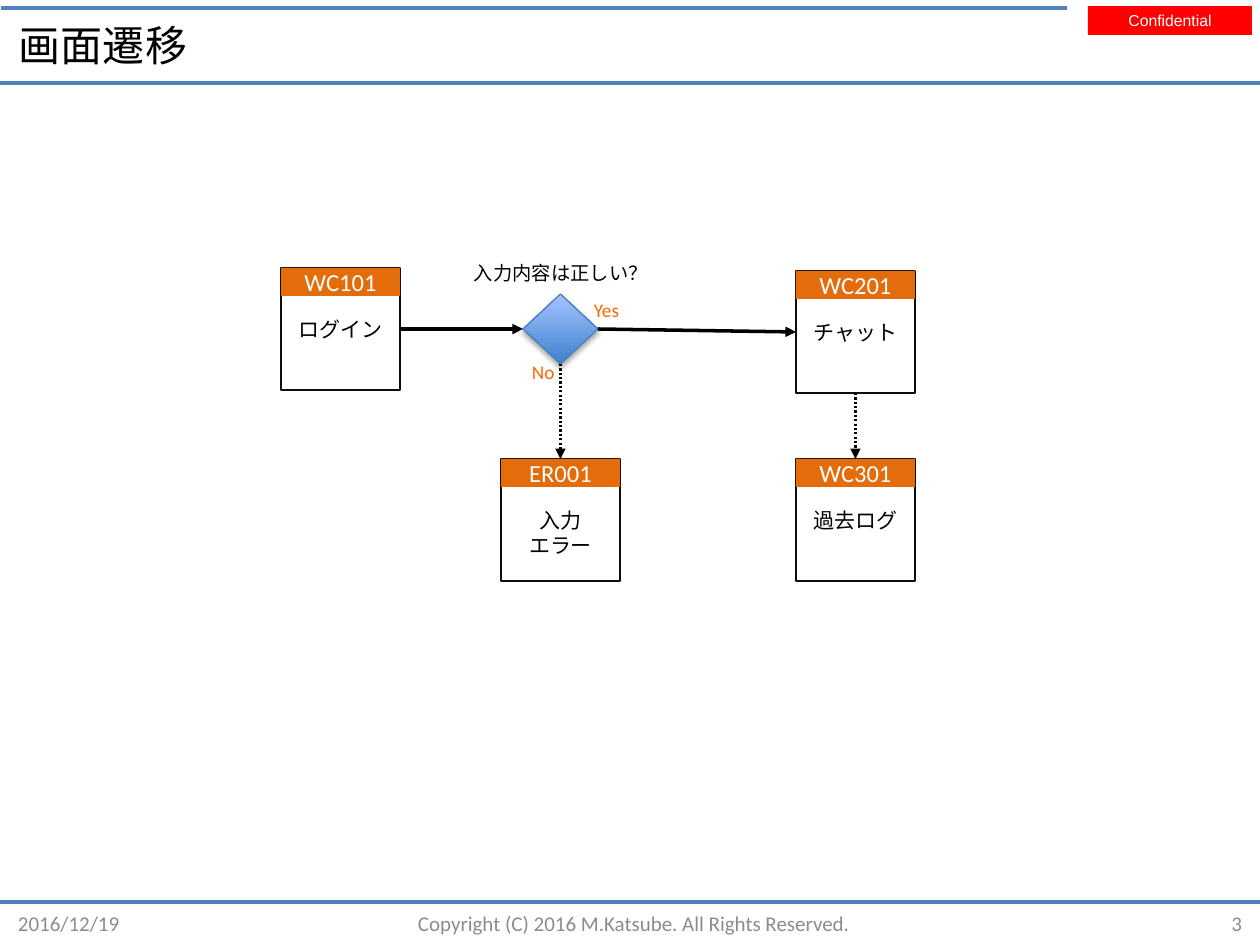
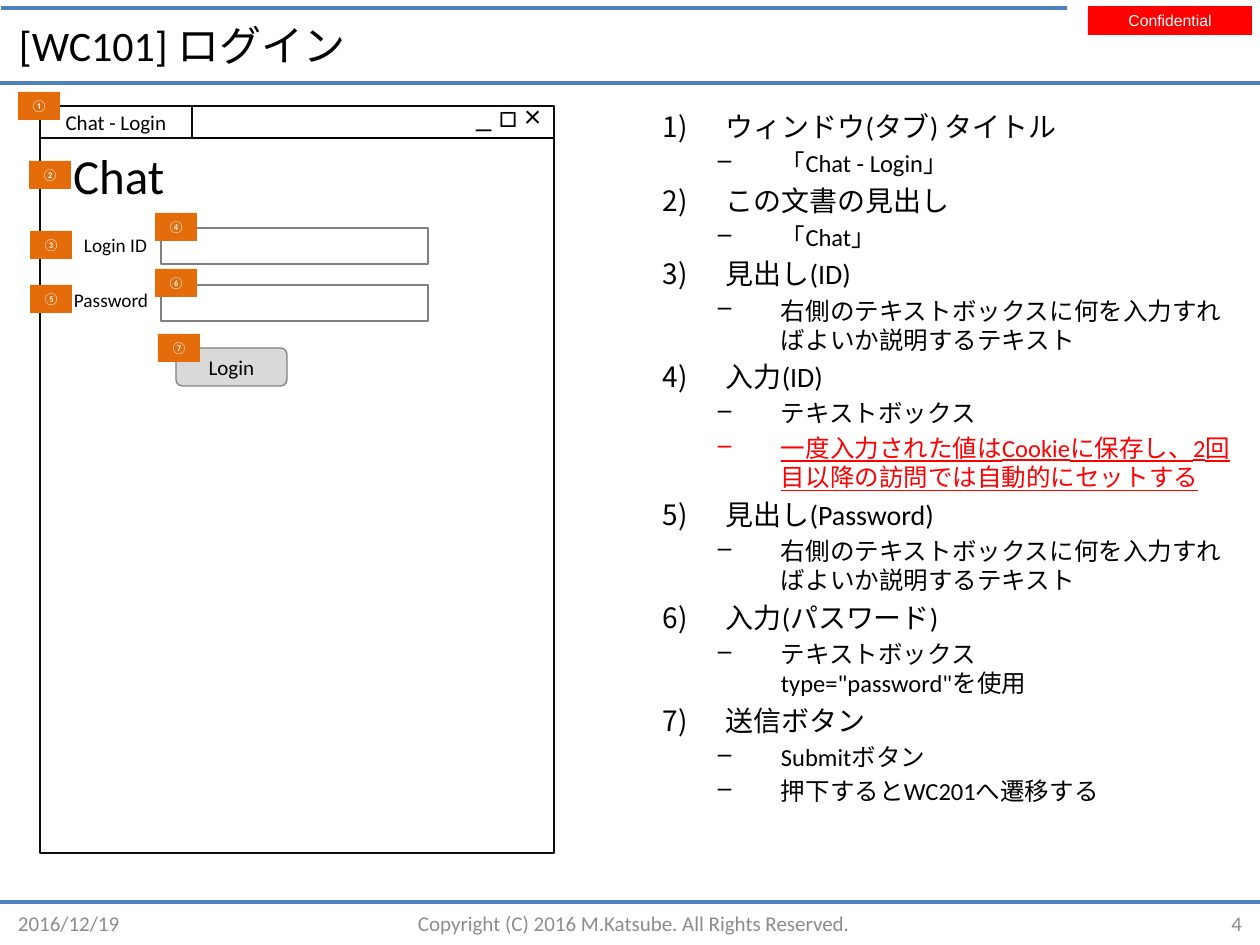
from dataclasses import dataclass
from typing import NamedTuple, Optional

from lxml.etree import SubElement
from pptx import Presentation
from pptx.dml.color import RGBColor
from pptx.enum.dml import MSO_LINE
from pptx.enum.shapes import MSO_CONNECTOR, MSO_SHAPE
from pptx.enum.text import MSO_ANCHOR, PP_ALIGN
from pptx.oxml.ns import qn
from pptx.util import Emu, Pt

PX_PER_INCH = 126
SLIDE_W, SLIDE_H = 1260, 945
TOP, LEFT, BOTTOM, RIGHT = range(4)  # connection sites of a rectangle or diamond


@dataclass(frozen=True)
class Theme:
    font: str = "Calibri"
    badge_font: str = "Arial"
    black: RGBColor = RGBColor(0x00, 0x00, 0x00)
    white: RGBColor = RGBColor(0xFF, 0xFF, 0xFF)
    red: RGBColor = RGBColor(0xFF, 0x00, 0x00)
    rule: RGBColor = RGBColor(0x4F, 0x81, 0xBD)
    footer: RGBColor = RGBColor(0x8C, 0x8C, 0x8C)
    outline: RGBColor = RGBColor(0x0D, 0x0D, 0x0D)
    accent: RGBColor = RGBColor(0xE4, 0x6C, 0x0A)
    branch: RGBColor = RGBColor(0xFF, 0x66, 0x00)
    field: RGBColor = RGBColor(0x80, 0x80, 0x80)
    button: RGBColor = RGBColor(0xD9, 0xD9, 0xD9)
    diamond_dark: RGBColor = RGBColor(0x3F, 0x80, 0xCE)
    diamond_light: RGBColor = RGBColor(0xA4, 0xC4, 0xFF)
    diamond_line: RGBColor = RGBColor(0x4B, 0x7E, 0xBC)
    heading: int = 28
    title: int = 24
    window: int = 18
    item: int = 16
    detail: int = 14
    normal: int = 12
    label: int = 11
    badge: int = 9
    marker: int = 7
    thin: float = 0.75


T = Theme()


class Rect(NamedTuple):
    x: int
    y: int
    w: int
    h: int


class Style(NamedTuple):
    size: int
    color: RGBColor = T.black
    align: PP_ALIGN = PP_ALIGN.LEFT
    anchor: MSO_ANCHOR = MSO_ANCHOR.TOP
    wrap: bool = True
    font: str = T.font
    inset_x: int = 13
    inset_top: int = 6
    inset_bottom: int = 6


class Screen(NamedTuple):
    code: str
    name: str
    x: int
    y: int
    inset_top: int = 6


class Label(NamedTuple):
    text: str
    rect: Rect
    style: Style


class Note(NamedTuple):
    text: str
    level: int = 1
    alert: bool = False


MIDDLE = MSO_ANCHOR.MIDDLE
CENTER = PP_ALIGN.CENTER
CENTERED = Style(T.normal, align=CENTER, anchor=MIDDLE)
CODE = Style(T.detail, T.white, CENTER, MIDDLE, inset_x=0, inset_top=0, inset_bottom=0)
TITLE = Style(T.title, anchor=MIDDLE)
FOOTER = Style(T.normal, T.footer, anchor=MIDDLE)
BADGE = Style(T.badge, T.white, CENTER, font=T.badge_font,
              inset_x=5, inset_top=5, inset_bottom=5)
CAPTION = Style(T.label, wrap=False)
BRANCH = CAPTION._replace(color=T.branch)
MARKER = Style(T.marker, T.white, wrap=False)

CARD_W, CARD_H, CODE_H = 119, 122, 28
LOGIN = Screen("WC101", "ログイン", 281, 268)
CHAT = Screen("WC201", "チャット", 796, 271)
PAST_LOG = Screen("WC301", "過去ログ", 796, 459)
INPUT_ERROR = Screen("ER001", "入力\nエラー", 501, 459, inset_top=31)

FLOW_LABELS = [
    Label("入力内容は正しい？", Rect(461, 255, 195, 36), CAPTION),
    Label("No", Rect(519, 354, 48, 36), BRANCH),
    Label("Yes", Rect(581, 292, 52, 36), BRANCH),
]
WINDOW_LABELS = [
    Label("_ □ ×", Rect(463, 89, 91, 51), Style(T.window, anchor=MIDDLE, wrap=False)),
    Label("Chat", Rect(60, 139, 118, 72), Style(T.heading, wrap=False)),
    Label("Login ID", Rect(71, 227, 89, 36), CAPTION),
    Label("Password", Rect(61, 282, 101, 36), CAPTION),
]
MARKERS = {"①": (18, 92), "②": (29, 161), "③": (30, 231), "④": (155, 213),
           "⑤": (30, 285), "⑥": (155, 269), "⑦": (158, 334)}

FIELD_HELP = "右側のテキストボックスに何を入力すればよいか説明するテキスト"
NOTES = [
    Note("ウィンドウ(タブ) タイトル", 0),
    Note("「Chat - Login」"),
    Note("この文書の見出し", 0),
    Note("「Chat」"),
    Note("見出し(ID)", 0),
    Note(FIELD_HELP),
    Note("入力(ID)", 0),
    Note("テキストボックス"),
    Note("一度入力された値はCookieに保存し、2回目以降の訪問では自動的にセットする", alert=True),
    Note("見出し(Password)", 0),
    Note(FIELD_HELP),
    Note("入力(パスワード)", 0),
    Note('テキストボックス\vtype="password"を使用'),
    Note("送信ボタン", 0),
    Note("Submitボタン"),
    Note("押下するとWC201へ遷移する"),
]


def px(n: float) -> Emu:
    return Emu(round(n * 914400 / PX_PER_INCH))


def set_font(p, size: int, color: RGBColor, name: str = T.font) -> None:
    p.font.size = Pt(size)
    p.font.name = name
    p.font.color.rgb = color


def write(sp, text: str, style: Style) -> None:
    """Fill a shape with text; one-line text needs no right inset."""
    tf = sp.text_frame
    tf.margin_left = px(style.inset_x)
    tf.margin_right = px(style.inset_x if style.wrap else 0)
    tf.margin_top, tf.margin_bottom = px(style.inset_top), px(style.inset_bottom)
    tf.word_wrap = style.wrap
    tf.vertical_anchor = style.anchor
    tf.text = text
    for p in tf.paragraphs:
        p.alignment = style.align
        set_font(p, style.size, style.color, style.font)


def add_text(s, rect: Rect, text: str, style: Style):
    sp = s.shapes.add_textbox(*map(px, rect))
    write(sp, text, style)
    return sp


def add_box(s, rect: Rect, fill: Optional[RGBColor] = T.white,
            line: Optional[RGBColor] = None, text: str = "",
            style: Style = CENTERED, kind: MSO_SHAPE = MSO_SHAPE.RECTANGLE):
    """Add a flat shape; without a fill colour, the caller sets the fill."""
    sp = s.shapes.add_shape(kind, *map(px, rect))
    sp.shadow.inherit = False
    if fill is not None:
        sp.fill.solid()
        sp.fill.fore_color.rgb = fill
    if line is None:
        sp.line.fill.background()
    else:
        sp.line.color.rgb = line
        sp.line.width = Pt(T.thin)
    if text:
        write(sp, text, style)
    return sp


def add_line(s, x1: int, y1: int, x2: int, y2: int, color: RGBColor, width: float):
    c = s.shapes.add_connector(MSO_CONNECTOR.STRAIGHT, px(x1), px(y1), px(x2), px(y2))
    c.line.color.rgb = color
    c.line.width = Pt(width)
    SubElement(c.element.spPr, qn("a:effectLst"))
    return c


def add_arrow(s, start, start_site: int, end, end_site: int, dotted: bool = False) -> None:
    c = add_line(s, 0, 0, 0, 0, T.black, 1.25 if dotted else 2)
    c.begin_connect(start, start_site)
    c.end_connect(end, end_site)
    if dotted:
        c.line.dash_style = MSO_LINE.ROUND_DOT
    SubElement(c.element.spPr.find(qn("a:ln")), qn("a:tailEnd"), type="triangle")


def add_screen(s, screen: Screen):
    card = add_box(s, Rect(screen.x, screen.y, CARD_W, CARD_H), T.white, T.outline,
                   screen.name, CENTERED._replace(inset_top=screen.inset_top))
    add_box(s, Rect(screen.x, screen.y, CARD_W, CODE_H), T.accent, None, screen.code, CODE)
    return card


def add_decision(s, rect: Rect):
    sp = add_box(s, rect, None, T.diamond_line, kind=MSO_SHAPE.DIAMOND)
    sp.fill.gradient()
    sp.fill.gradient_angle = 90
    for stop, color in zip(sp.fill.gradient_stops, (T.diamond_dark, T.diamond_light)):
        stop.color.rgb = color
    shadow = SubElement(sp.element.spPr.find(qn("a:effectLst")), qn("a:outerShdw"),
                        blurRad=str(Pt(3.1)), dist=str(Pt(1.8)), dir="5400000",
                        rotWithShape="0")
    color = SubElement(shadow, qn("a:srgbClr"), val=str(T.black))
    SubElement(color, qn("a:alpha"), val="35000")
    return sp


def add_notes_list(s, rect: Rect) -> None:
    """Add the numbered parts of the screen with their dashed details."""
    tf = add_text(s, rect, "\n".join(n.text for n in NOTES), Style(T.item)).text_frame
    for p, note in zip(tf.paragraphs, NOTES):
        p.level = note.level
        pPr = p._p.get_or_add_pPr()
        pPr.set("marL", str(px(118 if note.level else 63)))
        pPr.set("indent", str(px(-63)))
        if note.level:
            bullet = pPr.makeelement(qn("a:buChar"), {"char": "–"})
        else:
            bullet = pPr.makeelement(qn("a:buAutoNum"), {"type": "arabicParenR"})
        pPr.find(qn("a:defRPr")).addprevious(bullet)
        size = T.detail if note.level else T.item
        p.space_before = Pt(size * 0.2)
        set_font(p, size, T.red if note.alert else T.black)
        if note.alert:
            p.font.underline = True


def add_slide(prs, title: str, number: int):
    """Add a blank slide with the shared rules, badge, title and footer."""
    s = prs.slides.add_slide(prs.slide_layouts[6])
    for x1, x2, y in ((0, SLIDE_W, 83), (0, SLIDE_W, 902), (1, 1067, 8)):
        add_line(s, x1, y, x2, y, T.rule, 2)
    add_box(s, Rect(1088, 6, 164, 29), T.red, None, "Confidential", BADGE)
    add_text(s, Rect(6, 15, 1027, 59), title, TITLE)
    for text, x, w, align in (
        ("2016/12/19", 5, 178, PP_ALIGN.LEFT),
        ("Copyright (C) 2016 M.Katsube. All Rights Reserved.", 217, 834, CENTER),
        (str(number), 1088, 167, PP_ALIGN.RIGHT),
    ):
        add_text(s, Rect(x, 911, w, 25), text, FOOTER._replace(align=align))
    return s


def add_labels(s, labels: list[Label]) -> None:
    for label in labels:
        add_text(s, label.rect, label.text, label.style)


def build_flow(prs) -> None:
    s = add_slide(prs, "画面遷移", 3)
    login, chat, past_log, error = (
        add_screen(s, screen) for screen in (LOGIN, CHAT, PAST_LOG, INPUT_ERROR))
    decision = add_decision(s, Rect(523, 294, 75, 70))
    add_arrow(s, login, RIGHT, decision, LEFT)
    add_arrow(s, decision, RIGHT, chat, LEFT)
    add_arrow(s, decision, BOTTOM, error, TOP, dotted=True)
    add_arrow(s, chat, BOTTOM, past_log, TOP, dotted=True)
    add_labels(s, FLOW_LABELS)


def build_login(prs) -> None:
    s = add_slide(prs, "[WC101] ログイン", 4)
    add_notes_list(s, Rect(650, 104, 595, 766))
    add_box(s, Rect(40, 106, 514, 747), T.white, T.outline)
    add_box(s, Rect(40, 106, 152, 32), T.white, T.outline, "Chat - Login")
    add_line(s, 192, 138, 554, 138, T.black, 1)
    for y in (228, 285):
        add_box(s, Rect(161, y, 267, 36), T.white, T.field)
    add_box(s, Rect(176, 348, 111, 38), T.button, T.field, "Login",
            kind=MSO_SHAPE.ROUNDED_RECTANGLE)
    add_labels(s, WINDOW_LABELS)
    for sign, (x, y) in MARKERS.items():
        add_box(s, Rect(x, y, 42, 28), T.accent, None, sign, MARKER)


def main() -> None:
    prs = Presentation()
    prs.slide_width, prs.slide_height = px(SLIDE_W), px(SLIDE_H)
    build_flow(prs)
    build_login(prs)
    prs.save("out.pptx")


if __name__ == "__main__":
    main()
